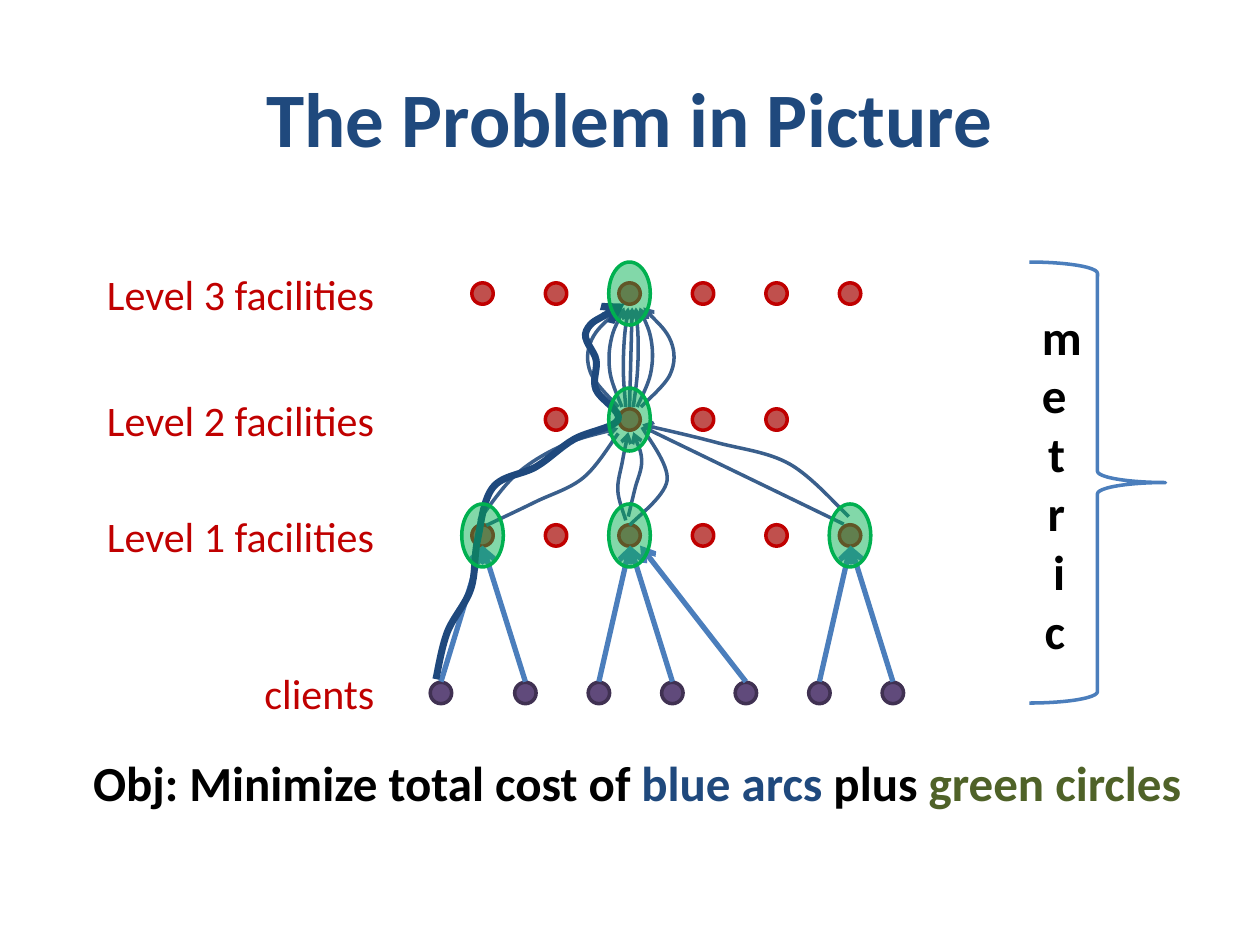
from math import hypot

from lxml.etree import SubElement
from pptx import Presentation
from pptx.dml.color import RGBColor
from pptx.enum.shapes import MSO_CONNECTOR, MSO_SHAPE
from pptx.enum.text import MSO_ANCHOR, PP_ALIGN
from pptx.oxml.ns import qn
from pptx.util import Cm, Pt

COLORS = {
    "navy": "1F497D", "red": "C00000", "brick": "C0504D", "purple": "604A7B",
    "plum": "403152", "link": "4B7EBC", "arc": "3A5F8C", "green": "00B050",
    "olive": "4F6228", "black": "000000",
}
FONT = "Calibri"
TITLE = [("The Problem in Picture", "navy")]
OBJECTIVE = [("Obj: Minimize total cost of ", "black"), ("blue arcs", "navy"),
             (" plus ", "black"), ("green circles", "olive")]

GAP = 3.5 / 6
COLUMNS = [3.83 + GAP * i for i in range(6)]
LEVEL_1, LEVEL_2, LEVEL_3, CLIENT_Y = 4.25, 3.33, 2.33, 5.5
LEVELS = [
    ("Level 1 facilities", LEVEL_1, COLUMNS, [0, 2, 5]),
    ("Level 2 facilities", LEVEL_2, COLUMNS[1:5], [1]),
    ("Level 3 facilities", LEVEL_3, COLUMNS, [2]),
]
HUB_X = COLUMNS[2]
CLIENTS = [3.5] + [4.17 + GAP * i for i in range(6)]
CLIENT_TARGETS = [3.83, 3.83, 5, 5, 5.08, 6.75, 6.75]
DOT = 0.17
HALO = (0.33, 0.5)

HUB_ARCS = [
    {"column": 0, "leave": (-0.03, -0.12), "reach": (-0.09, 0.07), "sways": [0.14, 0.13], "arrow": True},
    {"column": 0, "leave": (0.03, -0.08), "reach": (-0.09, 0.11), "sways": [-0.07, -0.13], "arrow": False},
    {"column": 2, "leave": (-0.03, -0.12), "reach": (-0.01, 0.1), "sways": [0.07, 0.04], "arrow": True},
    {"column": 2, "leave": (-0.01, -0.15), "reach": (0.03, 0.1), "sways": [-0.04, -0.08], "arrow": True},
    {"column": 2, "leave": (0, -0.08), "reach": (0.1, 0.06), "sways": [-0.25], "arrow": False},
    {"column": 5, "leave": (-0.05, -0.09), "reach": (0.11, 0.06), "sways": [], "arrow": False},
    {"column": 5, "leave": (-0.01, -0.15), "reach": (0.1, 0.04), "sways": [-0.19, -0.11], "arrow": True},
]
FAN = range(-3, 4)
FAN_SPREAD, FAN_BULGE = 0.03, 0.025

ROUTE_STOPS = [(CLIENTS[0] - 0.04, CLIENT_Y - 0.11), (COLUMNS[0] - 0.04, LEVEL_1 + 0.04),
               (HUB_X - 0.09, LEVEL_2), (HUB_X - 0.04, LEVEL_3 + 0.08)]
ROUTE_SWAYS = [[0.02, -0.06], [0.24, 0.14, 0.11], [0.19, 0.2, 0.29]]


def inches(*values):
    return [Cm(value * 2.54) for value in values]


def color(name):
    return RGBColor.from_string(COLORS[name])


def set_line(part, name, width, arrow=False):
    part.line.color.rgb = color(name)
    part.line.width = Pt(width)
    if arrow:
        SubElement(part.line._get_or_add_ln(), qn("a:tailEnd"), type="arrow")


def write(frame, pieces, size, bold=False, align=PP_ALIGN.LEFT):
    paragraph = frame.paragraphs[0]
    paragraph.alignment = align
    for words, name in pieces:
        run = paragraph.add_run()
        run.text = words
        run.font.name, run.font.size, run.font.bold = FONT, Pt(size), bold
        run.font.color.rgb = color(name)


def add_text(box, pieces, size, bold=False, align=PP_ALIGN.LEFT, wrap=False):
    frame = slide.shapes.add_textbox(*inches(*box)).text_frame
    frame.word_wrap = wrap
    if wrap:
        frame.vertical_anchor = MSO_ANCHOR.MIDDLE
    write(frame, pieces, size, bold, align)


def add_ellipse(x, y, width, height, fill, line, alpha=None):
    ellipse = slide.shapes.add_shape(
        MSO_SHAPE.OVAL, *inches(x - width / 2, y - height / 2, width, height))
    ellipse.shadow.inherit = False
    ellipse.fill.solid()
    ellipse.fill.fore_color.rgb = color(fill)
    if alpha:
        tint = ellipse.fill._xPr.find(qn("a:solidFill"))[0]
        SubElement(tint, qn("a:alpha"), val=str(alpha * 1000))
    set_line(ellipse, line, 2)


def sway_points(start, end, sways):
    dx, dy = end[0] - start[0], end[1] - start[1]
    length = hypot(dx, dy)
    for step, sway in enumerate(sways, 1):
        share = step / (len(sways) + 1)
        yield (start[0] + dx * share + sway * dy / length,
               start[1] + dy * share - sway * dx / length)


def smooth_controls(points):
    padded = [points[0], *points, points[-1]]
    for before, start, end, after in zip(padded, padded[1:], padded[2:], padded[3:]):
        yield tuple(s + (e - b) / 6 for b, s, e in zip(before, start, end))
        yield tuple(e - (a - s) / 6 for s, e, a in zip(start, end, after))
        yield end


def add_arc(stops, leg_sways, name, width, arrow):
    points = [stops[0]]
    for start, end, sways in zip(stops, stops[1:], leg_sways):
        points += [*sway_points(start, end, sways), end]
    builder = slide.shapes.build_freeform(*inches(*points[0]))
    builder.add_line_segments(
        [inches(*control) for control in smooth_controls(points)], close=False)
    arc = builder.convert_to_shape()
    arc.shadow.inherit = False
    arc.fill.background()
    set_line(arc, name, width, arrow)
    steps = list(arc._element.iter(qn("a:lnTo")))
    outline = steps[0].getparent()
    for first in range(0, len(steps), 3):
        curve = SubElement(outline, qn("a:cubicBezTo"))
        for step in steps[first:first + 3]:
            curve.append(step[0])
            outline.remove(step)


deck = Presentation()
deck.slide_width, deck.slide_height = inches(10, 7.5)
slide = deck.slides.add_slide(deck.slide_layouts[6])

add_text((0.5, 0.3, 9, 1.25), TITLE, 44, True, PP_ALIGN.CENTER, True)

for label, y, columns, opened in LEVELS:
    for x in columns:
        add_ellipse(x, y, DOT, DOT, "brick", "red")
    add_text((0.75, y - 0.25, 2.35, 0.5), [(label, "red")], 24)

add_text((2, CLIENT_Y - 0.25, 1.08, 0.5), [("clients", "red")], 24)
for x, target in zip(CLIENTS, CLIENT_TARGETS):
    add_ellipse(x, CLIENT_Y, DOT, DOT, "purple", "plum")
    link = slide.shapes.add_connector(
        MSO_CONNECTOR.STRAIGHT, *inches(x, CLIENT_Y - 0.09, target, LEVEL_1 + 0.08))
    set_line(link, "link", 3, True)
    SubElement(link._element.spPr, qn("a:effectLst"))

for hub_arc in HUB_ARCS:
    leave, reach = hub_arc["leave"], hub_arc["reach"]
    start = (COLUMNS[hub_arc["column"]] + leave[0], LEVEL_1 + leave[1])
    end = (HUB_X + reach[0], LEVEL_2 + reach[1])
    add_arc([start, end], [hub_arc["sways"]], "arc", 2, hub_arc["arrow"])

for rank in FAN:
    x = HUB_X + FAN_SPREAD * rank
    bulge = -FAN_BULGE * rank * abs(rank)
    add_arc([(x, LEVEL_2 - 0.1), (x + 0.02, LEVEL_3 + 0.11)], [[bulge, bulge]], "arc", 2, True)

add_text((0.64, 5.92, 8.94, 0.57), OBJECTIVE, 28, True)

brace = slide.shapes.add_shape(MSO_SHAPE.RIGHT_BRACE, *inches(8.17, 2.08, 1.08, 3.5))
brace.shadow.inherit = False
brace.fill.background()
set_line(brace, "link", 2)
brace.text_frame.word_wrap = True
brace.text_frame.vertical_anchor = MSO_ANCHOR.MIDDLE
write(brace.text_frame, [("metric", "black")], 28, True, PP_ALIGN.RIGHT)

add_arc(ROUTE_STOPS, ROUTE_SWAYS, "navy", 4, True)

for label, y, columns, opened in LEVELS:
    for index in opened:
        add_ellipse(columns[index], y, *HALO, "green", "green", 49)

deck.save("out.pptx")
